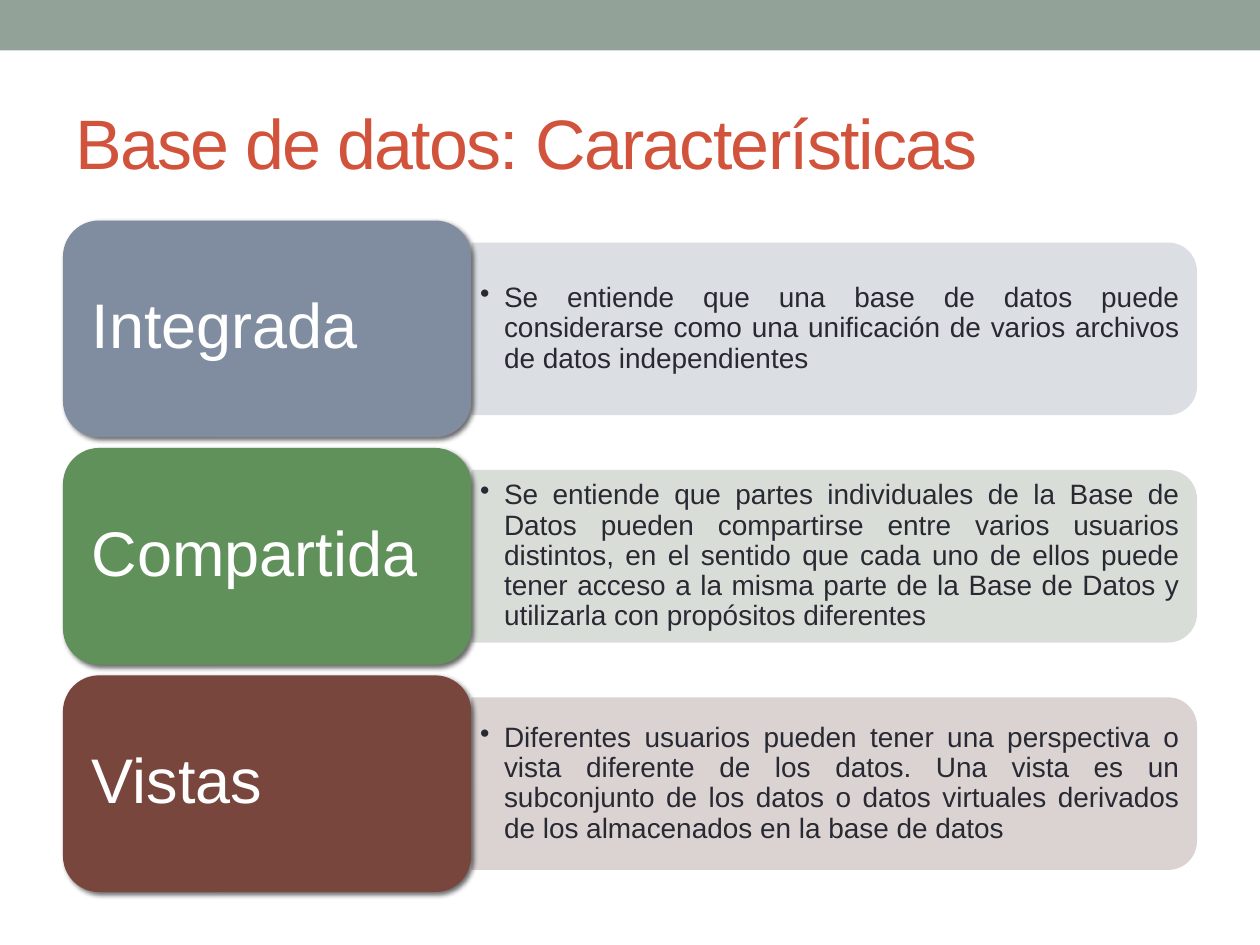
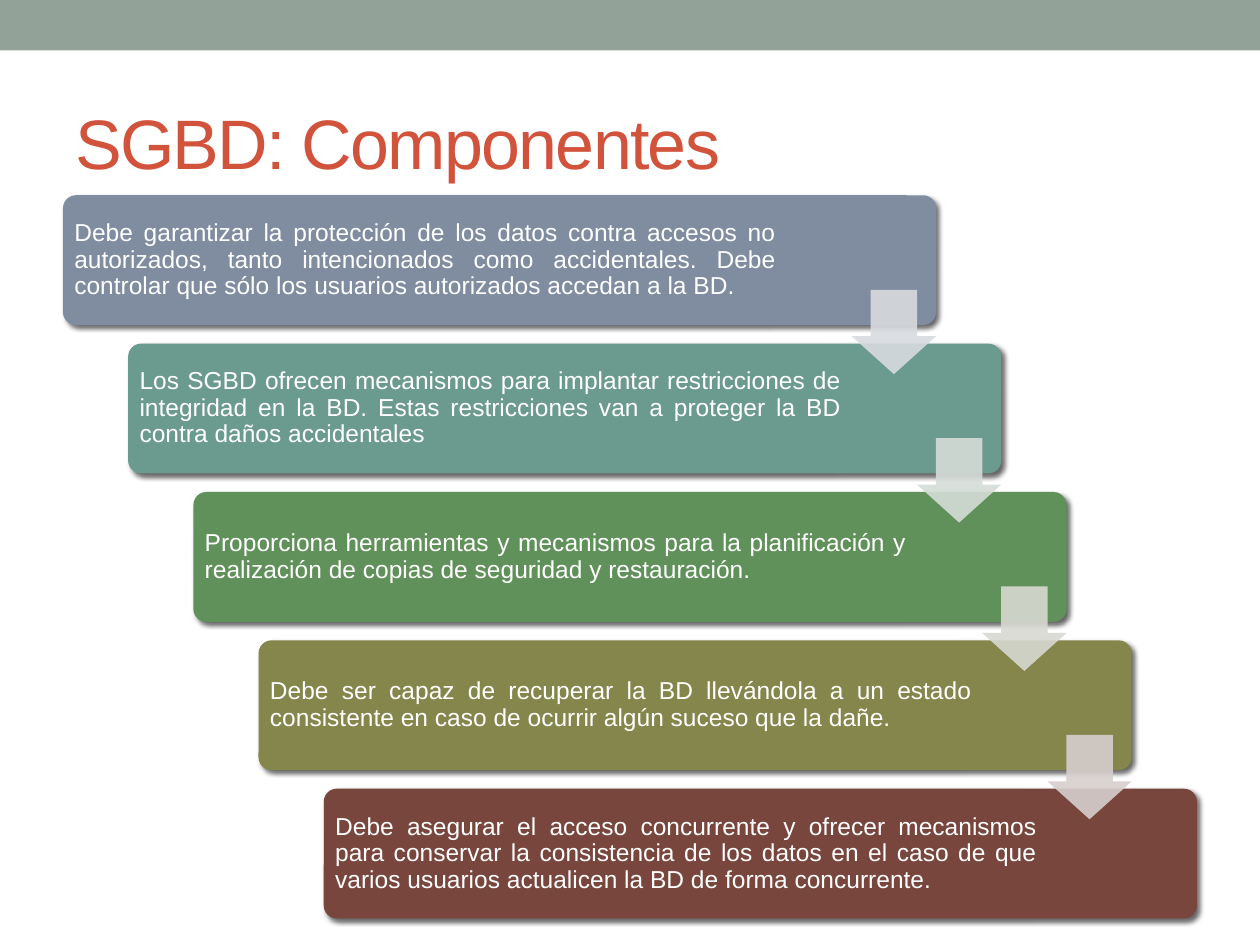
"""Builds two slides on databases: their characteristics and the DBMS components."""
from lxml.etree import SubElement
from pptx import Presentation
from pptx.dml.color import RGBColor as RGB
from pptx.enum.shapes import MSO_SHAPE as SHAPE
from pptx.enum.text import MSO_ANCHOR as ANCHOR, PP_ALIGN as ALIGN
from pptx.oxml.ns import qn
from pptx.util import Inches, Pt

COLORS = {
    "band": "93A299", "title": "D2533C", "dark": "292934", "white": "FFFFFF",
    "blue": "808DA0", "teal": "6B9A8E", "green": "61915A", "olive": "85864B", "brown": "79463D",
    "pale_blue": "D8DBDF", "pale_teal": "D5DCD8", "pale_green": "D4DBD3",
    "pale_olive": "D7D9D1", "pale_brown": "D7CFCE",
}
FONT = "Arial"


def add_shape(s, preset, at, color, alpha=None, shadow=False):
    sp = s.shapes.add_shape(preset, *[Inches(v) for v in at])
    sp.fill.solid()
    sp.fill.fore_color.rgb = RGB.from_string(COLORS[color])
    sp.line.fill.background()
    sp.shadow.inherit = False
    spPr = sp._element.spPr
    if alpha:
        SubElement(spPr.find(".//" + qn("a:srgbClr")), qn("a:alpha"), val=str(alpha * 1000))
    if shadow:
        outer = SubElement(spPr.find(qn("a:effectLst")), qn("a:outerShdw"), blurRad=str(Pt(3)),
                           dist=str(Pt(2)), dir=str(45 * 60000), algn="tl", rotWithShape="0")
        clr = SubElement(outer, qn("a:srgbClr"), val="000000")
        SubElement(clr, qn("a:alpha"), val="60000")
    return sp


def add_text(s, at, text, size, color, insets, align=ALIGN.JUSTIFY, spacing=0.9, bullet=False):
    tf = s.shapes.add_textbox(*[Inches(v) for v in at]).text_frame
    tf.word_wrap = True
    tf.vertical_anchor = ANCHOR.MIDDLE
    tf.margin_left = tf.margin_right = Inches(insets[0])
    tf.margin_top = tf.margin_bottom = Inches(insets[1])
    p = tf.paragraphs[0]
    p.alignment = align
    p.line_spacing = spacing
    if bullet:
        pPr = p._p.get_or_add_pPr()
        pPr.set("marL", str(Inches(0.19)))
        pPr.set("indent", str(Inches(-0.19)))
        SubElement(pPr, qn("a:buChar"), char="•")
    r = p.add_run()
    r.text = text
    r.font.name = FONT
    r.font.size = Pt(size)
    r.font.color.rgb = RGB.from_string(COLORS[color])
    return r


prs = Presentation()
prs.slide_width, prs.slide_height = Inches(10), Inches(7.5)

slides = []
for title in ("Base de datos: Características", "SGBD: Componentes"):
    s = prs.slides.add_slide(prs.slide_layouts[6])
    add_shape(s, SHAPE.RECTANGLE, (0, 0, 10, 0.4), "band")
    r = add_text(s, (0.5, 0.58, 9, 1.08), title, 40, "title", (0.1, 0.05), ALIGN.LEFT, 1.0)
    r._r.get_or_add_rPr().set("spc", "-100")
    slides.append(s)
features_slide, components_slide = slides

features = [
    ("Integrada", "blue", "pale_blue",
     "Se entiende que una base de datos puede considerarse como una uniﬁcación de varios "
     "archivos de datos independientes"),
    ("Compartida", "green", "pale_green",
     "Se entiende que partes individuales de la Base de Datos pueden compartirse entre varios "
     "usuarios distintos, en el sentido que cada uno de ellos puede tener acceso a la misma parte "
     "de la Base de Datos y utilizarla con propósitos diferentes"),
    ("Vistas", "brown", "pale_brown",
     "Diferentes usuarios pueden tener una perspectiva o vista diferente de los datos. Una vista "
     "es un subconjunto de los datos o datos virtuales derivados de los almacenados en la base "
     "de datos"),
]
label_w, label_h = 3.24, 1.72
panel_w, panel_h = 5.76, 1.37
panel_left = 0.5 + label_w
row_pitch = (5.36 - 1.75) / (len(features) - 1)
for i, (name, color, pale, text) in enumerate(features):
    top = 1.75 + i * row_pitch
    middle = top + label_h / 2
    panel = add_shape(features_slide, SHAPE.ROUND_2_SAME_RECTANGLE,
                      (panel_left + (panel_w - panel_h) / 2, middle - panel_w / 2,
                       panel_h, panel_w), pale, alpha=90)
    panel.rotation = 90
    add_text(features_slide, (panel_left, middle - 0.62, 5.69, 1.24), text, 16, "dark",
             (0.07, 0.03), bullet=True)
    add_shape(features_slide, SHAPE.ROUNDED_RECTANGLE, (0.5, top, label_w, label_h), color,
              shadow=True)
    add_text(features_slide, (0.58, top + 0.08, 3.07, 1.55), name, 36, "white", (0.15, 0.07))

components = [
    ("blue", "Debe garantizar la protección de los datos contra accesos no autorizados, tanto "
     "intencionados como accidentales. Debe controlar que sólo los usuarios autorizados accedan "
     "a la BD."),
    ("teal", "Los SGBD ofrecen mecanismos para implantar restricciones de integridad en la BD. "
     "Estas restricciones van a proteger la BD contra daños accidentales"),
    ("green", "Proporciona herramientas y mecanismos para la planificación y realización de "
     "copias de seguridad y restauración."),
    ("olive", "Debe ser capaz de recuperar la BD llevándola a un estado consistente en caso de "
     "ocurrir algún suceso que la dañe."),
    ("brown", "Debe asegurar el acceso concurrente y ofrecer mecanismos para conservar la "
     "consistencia de los datos en el caso de que varios usuarios actualicen la BD de forma "
     "concurrente."),
]
step_w, step_h, arrow_size = 6.93, 1.03, 0.67
step_x = (9 - step_w) / (len(components) - 1)
step_y = (6.26 - 1.55) / (len(components) - 1)
for i, (color, text) in enumerate(components):
    left, top = 0.5 + i * step_x, 1.55 + i * step_y
    step = add_shape(components_slide, SHAPE.ROUNDED_RECTANGLE, (left, top, step_w, step_h), color,
                     shadow=True)
    step.adjustments[0] = 0.1
    add_text(components_slide, (left + 0.03, top + 0.03, 5.69, 0.97), text, 14, "white",
             (0.06, 0.06))

for i, color in enumerate(("pale_blue", "pale_teal", "pale_olive", "pale_brown")):
    left = 0.5 + i * step_x + step_w - arrow_size
    arrow = add_shape(components_slide, SHAPE.DOWN_ARROW,
                      (left, 2.3 + i * step_y, arrow_size, arrow_size), color, alpha=90)
    arrow.adjustments[0] = 0.55
    arrow.adjustments[1] = 0.45

prs.save("out.pptx")
